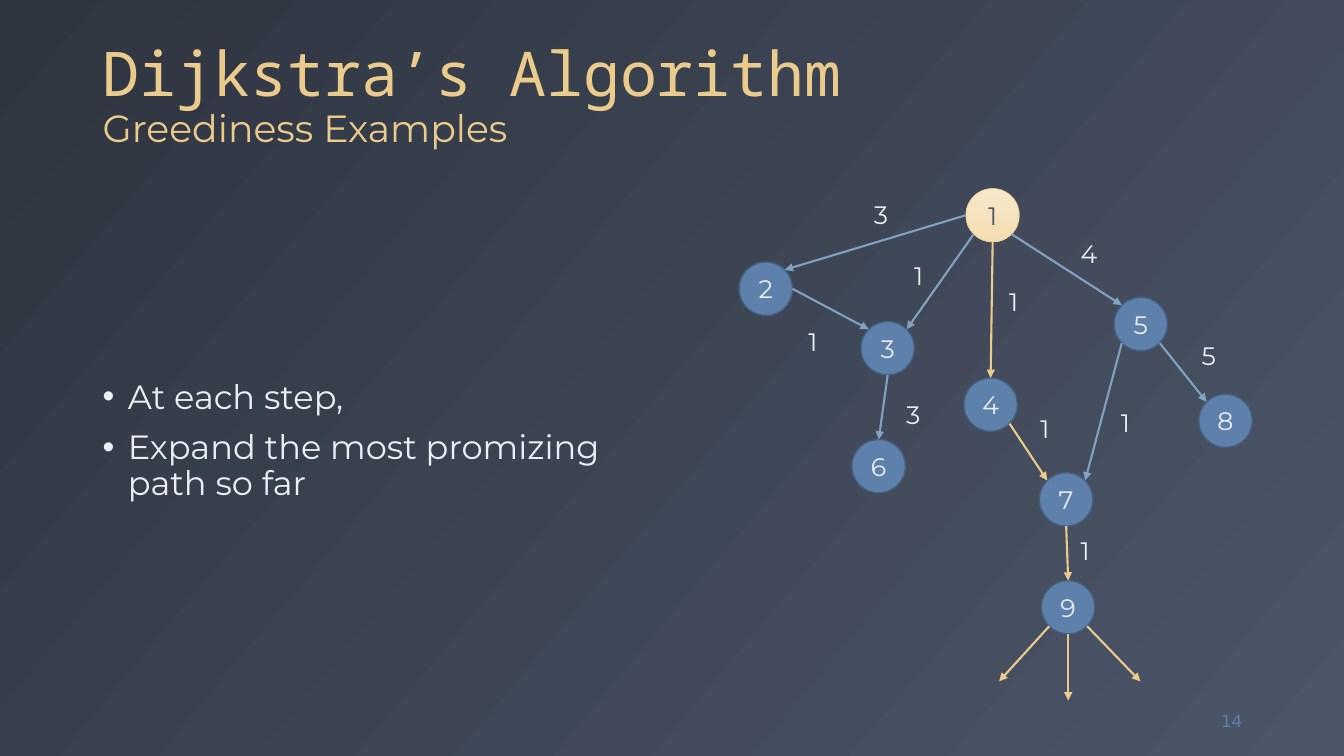
from lxml import etree
from pptx import Presentation
from pptx.dml.color import RGBColor
from pptx.enum.shapes import MSO_CONNECTOR, MSO_SHAPE
from pptx.enum.text import MSO_ANCHOR, PP_ALIGN
from pptx.oxml.ns import qn
from pptx.util import Inches, Pt

OVAL, STRAIGHT = MSO_SHAPE.OVAL, MSO_CONNECTOR.STRAIGHT
MIDDLE, BOTTOM = MSO_ANCHOR.MIDDLE, MSO_ANCHOR.BOTTOM
LEFT, CENTER, RIGHT = PP_ALIGN.LEFT, PP_ALIGN.CENTER, PP_ALIGN.RIGHT
COLORS = {
    "dark": "2E3440", "slate": "4C5669", "gold": "EBCB8B", "snow": "ECEFF3",
    "blue": "5E81AC", "rim": "465F7F", "edge": "81A1C1",
    "cream": "F7E7CB", "sand": "F4DDB1",
}
RGB = {name: RGBColor.from_string(value) for name, value in COLORS.items()}
FONT = "Montserrat"

deck = Presentation()
deck.slide_width, deck.slide_height = Inches(13.333), Inches(7.5)
page = deck.slides.add_slide(deck.slide_layouts[6])

# Every place is a percentage of the slide's width or height
COL, ROW = deck.slide_width / 100, deck.slide_height / 100
RADIUS = Inches(0.265)
DIAGONAL = 0.71


def add_text(left, top, width, height, text, size, color, font=FONT, anchor=None, align=LEFT):
    box = page.shapes.add_textbox(
        round(left * COL), round(top * ROW), round(width * COL), round(height * ROW))
    frame = box.text_frame
    frame.word_wrap = True
    frame.text = text
    if anchor is not None:
        frame.vertical_anchor = anchor
    for para in frame.paragraphs:
        para.alignment = align
        for span in para.runs:
            span.font.size, span.font.name = Pt(size), font
            span.font.color.rgb = RGB[color]
    return box


def add_arrow(start, end, color):
    arrow = page.shapes.add_connector(STRAIGHT, *map(round, start + end))
    arrow.line.width = Pt(1.5)
    arrow.line.color.rgb = RGB[color]
    etree.SubElement(arrow.line._get_or_add_ln(), qn("a:tailEnd"), type="triangle")
    etree.SubElement(arrow._element.spPr, qn("a:effectLst"))


# Background
backdrop = page.background.fill
backdrop.gradient()
backdrop.gradient_angle = 320
for stop, name in zip(backdrop.gradient_stops, ("dark", "slate")):
    stop.color.rgb = RGB[name]

# Title and subtitle
title = add_text(6.9, 2.4, 86.27, 18.13, "Dijkstra’s Algorithm\vGreediness Examples",
                 27, "gold", anchor=BOTTOM)
heading = title.text_frame.paragraphs[0]
heading.line_spacing = 0.9
heading.runs[0].font.size = Pt(44)
heading.runs[0].font.name = "Noto Sans Mono"

# Bullets
body = add_text(6.9, 26.67, 42.54, 63.47,
                "At each step,\nExpand the most promizing path so far",
                24, "snow", anchor=MIDDLE)
for para in body.text_frame.paragraphs:
    para.line_spacing, para.space_before = 0.9, Pt(10)
    properties = para._p.get_or_add_pPr()
    properties.set("marL", str(Inches(0.25)))
    properties.set("indent", str(-Inches(0.25)))
    etree.SubElement(properties, qn("a:buFont"), typeface="Arial")
    etree.SubElement(properties, qn("a:buChar"), char="•")

# Slide number
add_text(86.95, 92.67, 6.23, 5.33, "14", 12, "blue", "DejaVu Sans", MIDDLE, RIGHT)

# Graph nodes, placed by their centres
nodes = {
    1: (73.86, 28.47), 2: (56.98, 38.2), 3: (66.05, 46.07),
    4: (73.71, 53.53), 5: (84.88, 42.87), 6: (65.38, 61.67),
    7: (79.33, 66.07), 8: (91.19, 55.67), 9: (79.48, 80.33),
}
for number, (x, y) in nodes.items():
    node = page.shapes.add_shape(OVAL, round(x * COL - RADIUS), round(y * ROW - RADIUS),
                                 2 * RADIUS, 2 * RADIUS)
    node.shadow.inherit = False
    is_start = number == 1
    if is_start:
        node.fill.gradient()
        node.fill.gradient_angle = 270
        for stop, name in zip(node.fill.gradient_stops, ("cream", "sand")):
            stop.color.rgb = RGB[name]
    else:
        node.fill.solid()
        node.fill.fore_color.rgb = RGB["blue"]
    node.line.color.rgb = RGB["gold" if is_start else "rim"]
    node.line.width = Pt(0.5 if is_start else 1)
    frame = node.text_frame
    frame.margin_left = frame.margin_right = frame.margin_top = frame.margin_bottom = 0
    frame.vertical_anchor = MIDDLE
    frame.text = str(number)
    para = frame.paragraphs[0]
    para.alignment = CENTER
    font = para.runs[0].font
    font.size, font.name = Pt(18), FONT
    font.color.rgb = RGB["slate" if is_start else "snow"]

# Points on each circle's rim, by compass direction
directions = {
    "N": (0, -1), "S": (0, 1), "W": (-1, 0), "E": (1, 0),
    "NW": (-DIAGONAL, -DIAGONAL), "NE": (DIAGONAL, -DIAGONAL),
    "SW": (-DIAGONAL, DIAGONAL), "SE": (DIAGONAL, DIAGONAL),
}
rim = {(number, side): (x * COL + dx * RADIUS, y * ROW + dy * RADIUS)
       for number, (x, y) in nodes.items() for side, (dx, dy) in directions.items()}

# Edges: from, to, colour, weight, place of the weight
edges = [
    ((1, "W"), (2, "NE"), "edge", 3, (64.29, 25.73)),
    ((1, "SW"), (3, "NE"), "edge", 1, (67.29, 33.73)),
    ((2, "E"), (3, "NW"), "edge", 1, (59.41, 42.53)),
    ((5, "SW"), (7, "NE"), "edge", 1, (82.67, 53.2)),
    ((3, "S"), (6, "N"), "edge", 3, (66.69, 52.13)),
    ((4, "SE"), (7, "NW"), "gold", 1, (76.67, 54)),
    ((7, "S"), (9, "N"), "gold", 1, (79.67, 70.13)),
    ((5, "SE"), (8, "NW"), "edge", 5, (88.67, 44.4)),
    ((1, "S"), (4, "N"), "gold", 1, (74.34, 37.2)),
    ((1, "SE"), (5, "NW"), "edge", 4, (79.67, 30.93)),
]
for start, end, color, weight, (left, top) in edges:
    add_arrow(rim[start], rim[end], color)
    add_text(left, top, 2.18, 5.33, str(weight), 18, "snow")

# Next steps out of the last node
for side, x, y in (("SW", 74.34, 90.13), ("S", 79.48, 92.67), ("SE", 84.85, 90.13)):
    add_arrow(rim[9, side], (x * COL, y * ROW), "gold")

deck.save("out.pptx")
